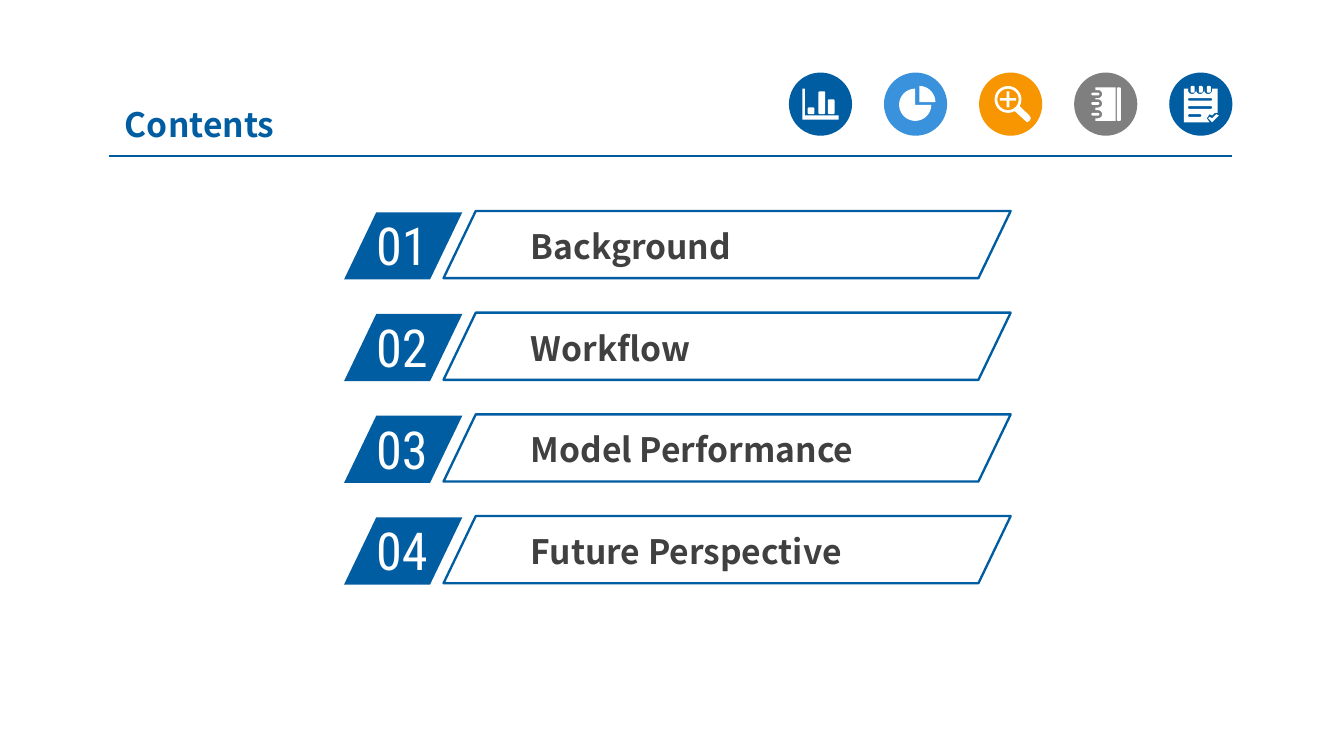
from math import cos, radians, sin

from lxml.etree import SubElement
from pptx import Presentation
from pptx.dml.color import RGBColor
from pptx.enum.shapes import MSO_CONNECTOR, MSO_SHAPE
from pptx.enum.text import MSO_ANCHOR, MSO_AUTO_SIZE, PP_ALIGN
from pptx.oxml.ns import qn
from pptx.util import Inches, Pt

BLUE, LIGHT_BLUE, ORANGE = "005DA2", "3992DB", "F79600"
GRAY, DARK, WHITE, RULE = "7F7F7F", "404040", "FFFFFF", "005B9E"


def color(value):
    return RGBColor.from_string(value)


def arc(x, y, radius, start, end, steps=24):
    angles = [radians(start + (end - start) * i / steps) for i in range(steps + 1)]
    return [(x + radius * cos(a), y + radius * sin(a)) for a in angles]


def rounded(left, top, width, height, radius=0.01):
    right, bottom = left + width - radius, top + height - radius
    left, top = left + radius, top + radius
    corners = [(right, bottom), (left, bottom), (left, top), (right, top)]
    return [point for i, (x, y) in enumerate(corners)
            for point in arc(x, y, radius, 90 * i, 90 * i + 90, 6)]


def bar_chart_icon():
    axes = [(5.97, 0.66), (5.99, 0.66), (5.99, 0.86), (6.24, 0.86),
            (6.24, 0.89), (5.97, 0.89)]
    bars = [(6.01, 0.8), (6.09, 0.68), (6.16, 0.74)]
    return [axes] + [rounded(x, y, 0.05, 0.85 - y) for x, y in bars]


def pie_icon():
    return [arc(6.84, 0.76, 0.12, -90, 0) + [(6.84, 0.76)],
            arc(6.81, 0.78, 0.12, 0, 270) + [(6.81, 0.78)]]


def magnifier_icon():
    x, y, arm, half = 7.5, 0.74, 0.06, 0.01
    handle = [(7.66, 0.86), (7.67, 0.88), (7.66, 0.9), (7.64, 0.91), (7.63, 0.9)]
    plus = [(-half, -arm), (half, -arm), (half, -half), (arm, -half),
            (arm, half), (half, half), (half, arm), (-half, arm),
            (-half, half), (-arm, half), (-arm, -half), (-half, -half)]
    return [arc(x, y, 0.1, 60, 390) + handle, arc(x, y, 0.08, 0, 360),
            [(x + dx, y + dy) for dx, dy in plus]]


def notebook_icon():
    rings = [0.7, 0.77, 0.85]
    page = [(8.15, 0.65)]
    for y in rings:
        page += [(8.15, y - 0.03), *arc(8.17, y, 0.03, -90, 90), (8.15, y + 0.03)]
    page += [(8.15, 0.9), (8.3, 0.9), (8.3, 0.65)]
    return [page, rounded(8.31, 0.65, 0.03, 0.25)] + [
        rounded(8.12, y - 0.01, 0.06, 0.02) for y in rings]


def checklist_icon():
    rings = [8.87, 8.93, 8.99]
    page = [(8.81, 0.66)]
    for x in rings:
        page += [(x - 0.03, 0.66), *arc(x, 0.67, 0.03, 180, 0), (x + 0.03, 0.66)]
    page += [(9.06, 0.66), (9.06, 0.84), (9.04, 0.84), (9.02, 0.86), (9, 0.85),
             (8.98, 0.88), (9, 0.91), (8.81, 0.91)]
    check = [(8.99, 0.88), (9, 0.87), (9.02, 0.88), (9.05, 0.85),
             (9.07, 0.86), (9.02, 0.91)]
    lines = [(0.73, 0.18), (0.79, 0.18), (0.85, 0.1)]
    return [page, check] + [rounded(8.84, y, width, 0.02) for y, width in lines] + [
        rounded(x - 0.01, 0.64, 0.03, 0.05) for x in rings]


class SlideBuilder:
    text_font = "Noto Sans CJK SC"
    number_font = "Roboto Condensed"

    def __init__(self, presentation):
        self.slide = presentation.slides.add_slide(presentation.slide_layouts[5])
        self.shapes = self.slide.shapes

    def add_run(self, paragraph, text, size, font, fill, bold=False):
        run = paragraph.add_run()
        run.text = text
        run.font.size = Pt(size)
        run.font.name = font
        run.font.bold = bold
        run.font.color.rgb = color(fill)

    def title(self, text, left, top, width, height):
        shape = self.shapes.title
        shape.left, shape.top = Inches(left), Inches(top)
        shape.width, shape.height = Inches(width), Inches(height)
        frame = shape.text_frame
        frame.vertical_anchor = MSO_ANCHOR.MIDDLE
        frame.auto_size = MSO_AUTO_SIZE.NONE
        paragraph = frame.paragraphs[0]
        paragraph.alignment = PP_ALIGN.LEFT
        self.add_run(paragraph, text, 18, self.text_font, BLUE, True)

    def text(self, text, left, top, width, height, size, font, fill,
             bold=False, insets=(0.1, 0.05)):
        box = self.shapes.add_textbox(
            Inches(left), Inches(top), Inches(width), Inches(height))
        frame = box.text_frame
        frame.word_wrap = True
        frame.margin_left = frame.margin_right = Inches(insets[0])
        frame.margin_top = frame.margin_bottom = Inches(insets[1])
        self.add_run(frame.paragraphs[0], text, size, font, fill, bold)

    def paint(self, shape, fill=None, line=None):
        shape.shadow.inherit = False
        if fill:
            shape.fill.solid()
            shape.fill.fore_color.rgb = color(fill)
        else:
            shape.fill.background()
        if line:
            shape.line.color.rgb = color(line)
            shape.line.width = Pt(1.25)
        else:
            shape.line.fill.background()

    def shape(self, kind, left, top, width, height, fill=None, line=None):
        shape = self.shapes.add_shape(
            kind, Inches(left), Inches(top), Inches(width), Inches(height))
        self.paint(shape, fill, line)
        return shape

    def parallelogram(self, left, top, width, fill=None, line=None):
        shape = self.shape(MSO_SHAPE.PARALLELOGRAM, left, top, width, 0.5, fill, line)
        shape.adjustments[0] = 0.48

    def line(self, left, right, y):
        connector = self.shapes.add_connector(
            MSO_CONNECTOR.STRAIGHT, Inches(left), Inches(y), Inches(right), Inches(y))
        connector.line.color.rgb = color(RULE)
        connector.line.width = Pt(0.75)
        SubElement(connector._element.spPr, qn("a:effectLst"))

    def icon(self, left, fill, outlines):
        self.shape(MSO_SHAPE.OVAL, left, 0.54, 0.47, 0.47, fill)
        contours = [[(Inches(x), Inches(y)) for x, y in outline] for outline in outlines]
        builder = self.shapes.build_freeform(*contours[0][0])
        for index, contour in enumerate(contours):
            if index:
                builder.move_to(*contour[0])
            builder.add_line_segments(contour[1:], close=True)
        self.paint(builder.convert_to_shape(), WHITE)

    def entry(self, number, text, top):
        self.parallelogram(2.56, top, 0.88, fill=BLUE)
        self.text(f"{number:02d}", 2.7, top - 0.04, 0.84, 0.49, 28,
                  self.number_font, WHITE)
        self.text(text, 3.88, top + 0.06, 3.09, 0.38, 18, self.text_font, DARK,
                  True, (0.07, 0.04))
        self.parallelogram(3.3, top - 0.01, 4.22, line=BLUE)


def main():
    presentation = Presentation()
    presentation.slide_width = Inches(10)
    presentation.slide_height = Inches(10) * 9 // 16
    builder = SlideBuilder(presentation)
    builder.title("Contents", 0.83, 0.65, 2.47, 0.54)
    builder.line(0.81, 9.17, 1.16)
    entries = ["Background", "Workflow", "Model Performance", "Future Perspective"]
    for index, text in enumerate(entries):
        builder.entry(index + 1, text, 1.58 + 2.27 / 3 * index)
    icons = [(BLUE, bar_chart_icon), (LIGHT_BLUE, pie_icon), (ORANGE, magnifier_icon),
             (GRAY, notebook_icon), (BLUE, checklist_icon)]
    for index, (fill, outlines) in enumerate(icons):
        builder.icon(5.87 + 2.83 / 4 * index, fill, outlines())
    presentation.save("out.pptx")


if __name__ == "__main__":
    main()
